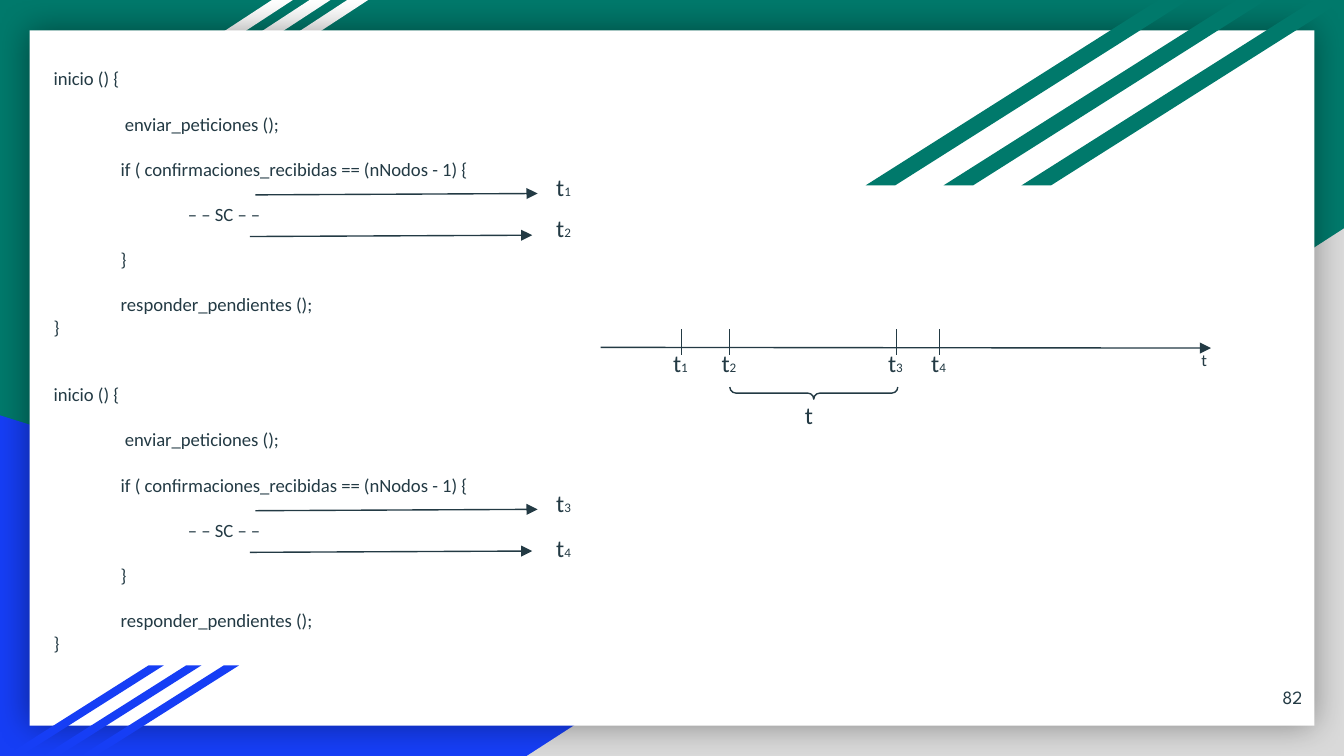
from dataclasses import dataclass

from lxml.etree import SubElement
from pptx import Presentation
from pptx.dml.color import RGBColor
from pptx.enum.shapes import MSO_CONNECTOR, MSO_SHAPE as Shape
from pptx.enum.text import MSO_ANCHOR, PP_ALIGN
from pptx.oxml.ns import qn
from pptx.util import Emu, Inches, Pt

COLORS = {"green": "00796B", "blue": "163EF5", "gray": "D9D9D9",
          "white": "FFFFFF", "ink": "233A44", "black": "000000"}
CODE_FONT, NUMBER_FONT = "Calibri", "League Spartan"
LINE_WIDTH = Pt(0.75)
CODE_SIZE, BLANK_LINE = 10, Pt(12.2)

prs = Presentation()
prs.slide_width = Inches(10)
prs.slide_height = Emu(prs.slide_width * 9 // 16)
slide = prs.slides.add_slide(prs.slide_layouts[6])

# Square grid: 100 columns by 56.25 rows
CELL = prs.slide_width / 100


def grid(*cells: float) -> list[Emu]:
    return [Emu(round(cell * CELL)) for cell in cells]


def color(name: str) -> RGBColor:
    return RGBColor.from_string(COLORS[name])


@dataclass
class Stripes:
    """Three slanted bars, listed from the rightmost one."""
    col: float
    row: float
    width: float
    height: float
    step: float
    slant: float
    fill: str


@dataclass
class CodeLine:
    text: str
    left: float = 0.5
    first: float = 0
    gap: bool = True


@dataclass
class Process:
    """Code block with the two instants around its critical section."""
    row: float
    marks: tuple[str, str]
    mark_rows: tuple[float, float]


@dataclass
class Instant:
    mark: str
    col: float


def add_filled(parent, kind: Shape, box: tuple, fill: str):
    shape = parent.add_shape(kind, *grid(*box))
    shape.shadow.inherit = False
    shape.fill.solid()
    shape.fill.fore_color.rgb = color(fill)
    shape.line.fill.background()
    return shape


def add_stripes(stripes: Stripes) -> None:
    group = slide.shapes.add_group_shape().shapes
    for i in range(3):
        box = (stripes.col - i * stripes.step, stripes.row, stripes.width, stripes.height)
        bar = add_filled(group, Shape.PARALLELOGRAM, box, stripes.fill)
        bar.adjustments[0] = stripes.slant


def add_glow(shape) -> None:
    effects = shape._element.spPr.find(qn("a:effectLst"))
    shadow = SubElement(effects, qn("a:outerShdw"), blurRad=str(Pt(18)), dist="0",
                        algn="ctr", rotWithShape="0")
    tone = SubElement(shadow, qn("a:srgbClr"), val=COLORS["black"])
    SubElement(tone, qn("a:alpha"), val="40000")


def add_line(start: tuple, end: tuple, arrow: bool = False) -> None:
    line = slide.shapes.add_connector(MSO_CONNECTOR.STRAIGHT, *grid(*start, *end))
    line.line.color.rgb = color("ink")
    line.line.width = LINE_WIDTH
    if arrow:
        SubElement(line.line._get_or_add_ln(), qn("a:tailEnd"), type="triangle")
    SubElement(line._element.spPr, qn("a:effectLst"))


def add_frame(box: tuple):
    frame = slide.shapes.add_textbox(*grid(*box)).text_frame
    frame.word_wrap = True
    frame.margin_left = frame.margin_right = Inches(0.1)
    frame.margin_top = frame.margin_bottom = Inches(0.1)
    return frame


def style(run, size: float, font: str = CODE_FONT) -> None:
    run.font.size = Pt(size)
    run.font.name = font
    run.font.color.rgb = color("ink")


def add_mark(mark: str, col: float, row: float, size: float = 13) -> None:
    """A letter, followed by a smaller index if it has one."""
    paragraph = add_frame((col, row, 3.2, 4.2)).paragraphs[0]
    for text, points in zip(mark, (size, 7)):
        run = paragraph.add_run()
        run.text = text
        style(run, points)


def add_code(row: float) -> None:
    frame = add_frame((3, row, 33.2, 22.2))
    for i, line in enumerate(CODE):
        paragraph = frame.add_paragraph() if i else frame.paragraphs[0]
        paragraph.text = line.text
        paragraph.space_before = BLANK_LINE if line.gap else Pt(0)
        properties = paragraph._p.get_or_add_pPr()
        properties.set("marL", str(Inches(line.left)))
        properties.set("indent", str(Inches(line.first)))
        style(paragraph.runs[0], CODE_SIZE)


def add_process(process: Process) -> None:
    add_code(process.row)
    arrows = ((19, 10.5), (18.6, 13.6))
    for (col, drop), mark, mark_row in zip(arrows, process.marks, process.mark_rows):
        row = process.row + drop
        add_line((col, row), (col + 21, row - 0.1), arrow=True)
        add_mark(mark, 40.4, mark_row)


CODE = [
    CodeLine("inicio () {", left=0, gap=False),
    CodeLine(" enviar_peticiones ();"),
    CodeLine("if ( confirmaciones_recibidas == (nNodos - 1) {"),
    CodeLine("– – SC – –", first=0.5),
    CodeLine("}"),
    CodeLine("responder_pendientes ();"),
    CodeLine("}", left=0, gap=False),
]
PROCESSES = [
    Process(4, ("t1", "t2"), (11.8, 14.9)),
    Process(27.5, ("t3", "t4"), (35.3, 38.7)),
]
INSTANTS = [Instant("t1", 50.7), Instant("t2", 54.3),
            Instant("t3", 66.7), Instant("t4", 69.9)]

# Background, corners and white panel
slide.background.fill.solid()
slide.background.fill.fore_color.rgb = color("green")
add_filled(slide.shapes, Shape.RIGHT_TRIANGLE, (0, 30.9, 80.6, 25.35), "blue")
gray_corner = add_filled(slide.shapes, Shape.RIGHT_TRIANGLE, (39.2, 17, 60.8, 39.25), "gray")
gray_corner._element.spPr.xfrm.set("flipH", "1")
add_stripes(Stripes(8.4, 0, 19, 11.4, 2.8, 1.53, "white"))
add_glow(add_filled(slide.shapes, Shape.RECTANGLE, (2.2, 2.25, 95.6, 51.75), "white"))
add_stripes(Stripes(6, 49.5, 11.8, 6.75, 2.8, 1.58, "blue"))
add_stripes(Stripes(76, 0, 24, 13.8, 5.8, 1.58, "green"))

# Slide number
number_frame = add_frame((91.9, 49.7, 6, 4.3))
number_frame.vertical_anchor = MSO_ANCHOR.MIDDLE
number_frame.text = "82"
number_frame.paragraphs[0].alignment = PP_ALIGN.RIGHT
style(number_frame.paragraphs[0].runs[0], 10, NUMBER_FONT)

# Code of both processes
for process in PROCESSES:
    add_process(process)

# Time axis with its instants
add_line((44.7, 25.85), (90.1, 25.9), arrow=True)
add_mark("t", 88.4, 25.3, size=9)
for instant in INSTANTS:
    add_line((instant.col, 24.5), (instant.col, 26.4))
    add_mark(instant.mark, instant.col - 1.6, 24.9)

# Interval between t2 and t3
interval = slide.shapes.add_shape(Shape.RIGHT_BRACE, *grid(60.1, 23, 0.9, 12.5))
interval.shadow.inherit = False
interval.rotation = 90
interval.adjustments[0] = interval.adjustments[1] = 0.5
interval.fill.background()
interval.line.color.rgb = color("ink")
interval.line.width = LINE_WIDTH
add_mark("t", 58.9, 28.8)

prs.save("out.pptx")
